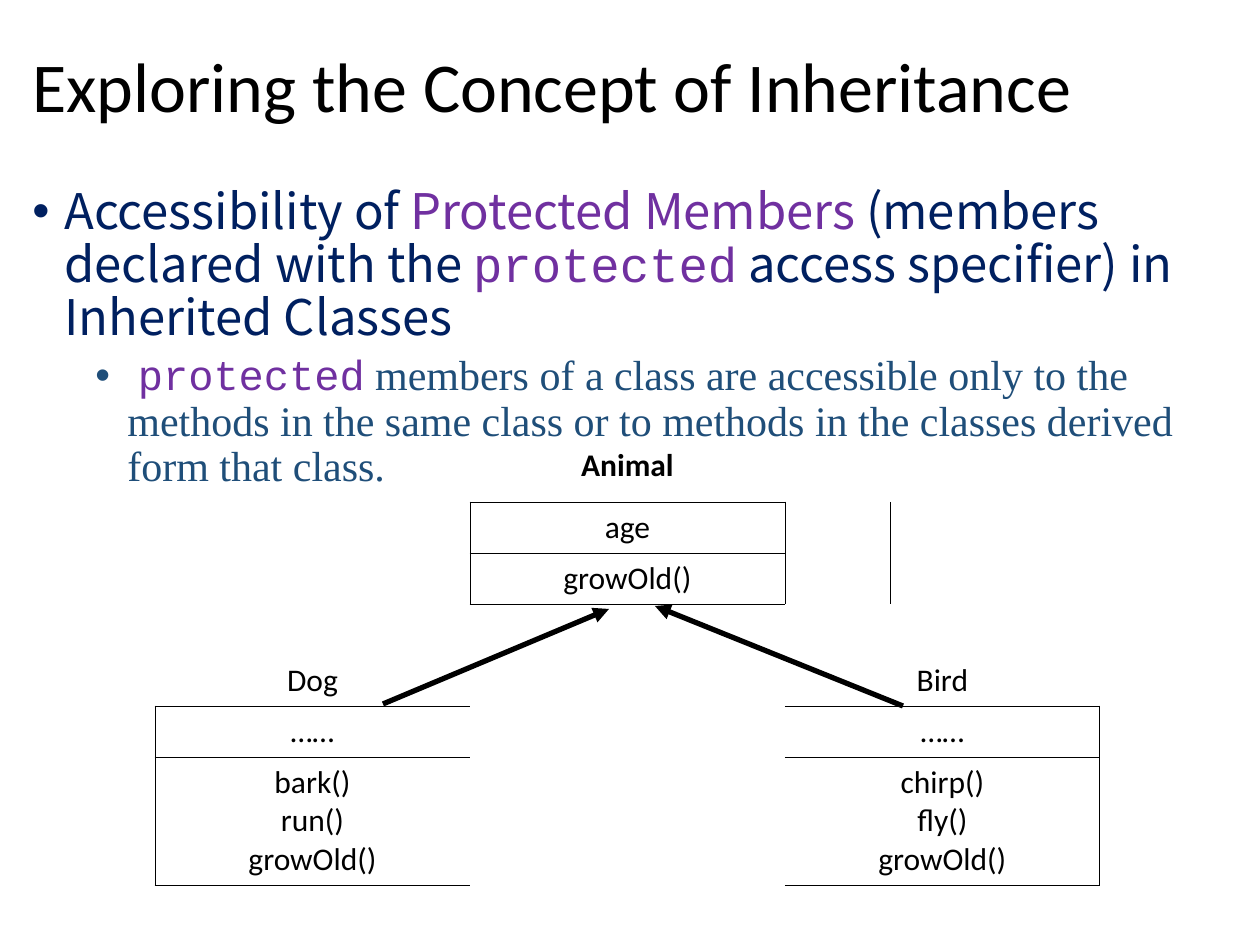
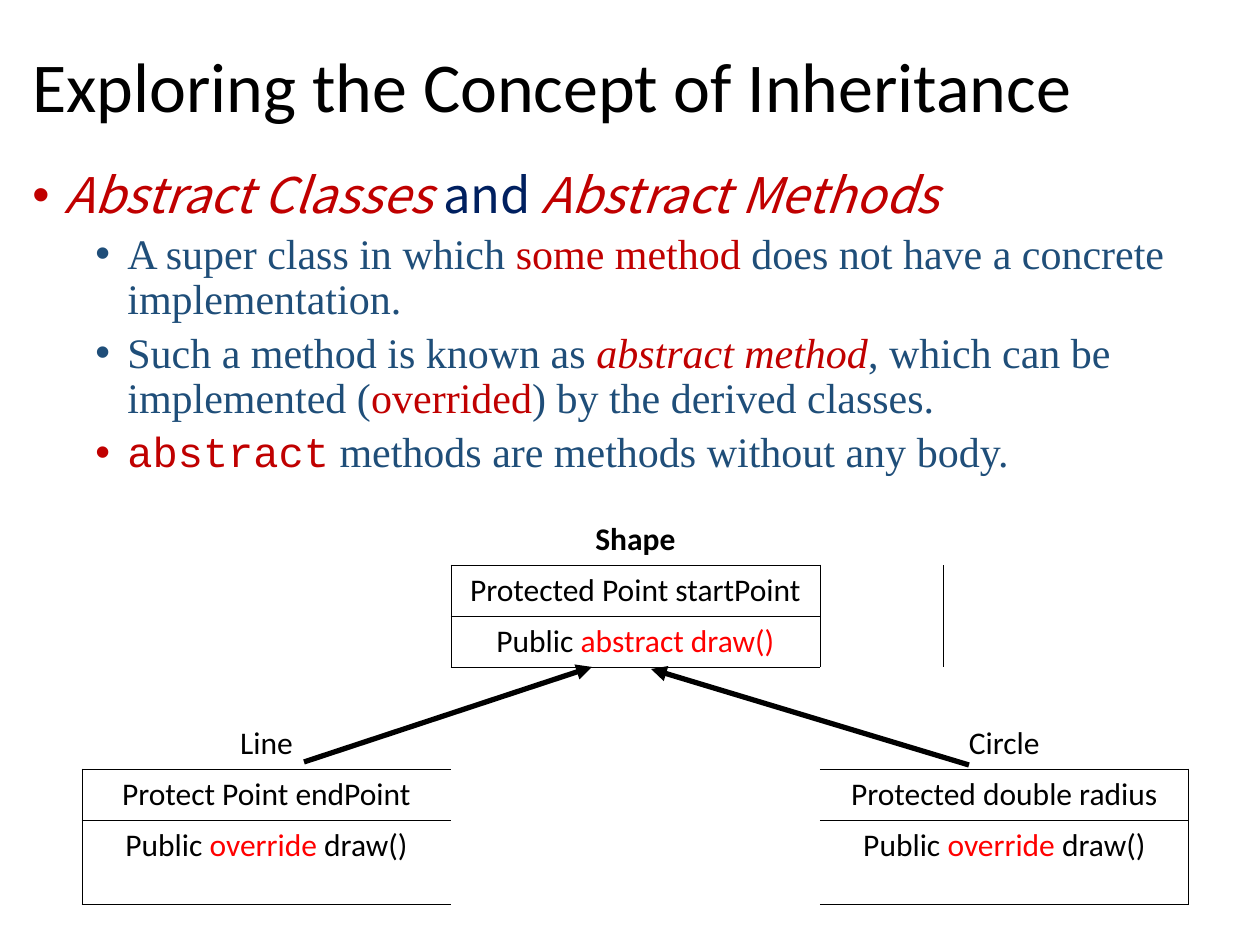
from lxml.etree import SubElement
from pptx import Presentation
from pptx.dml.color import RGBColor
from pptx.enum.shapes import MSO_CONNECTOR as Connector
from pptx.enum.text import MSO_ANCHOR as Anchor, PP_ALIGN as Align
from pptx.oxml.ns import qn
from pptx.util import Emu, Pt

PX = 914400 / 126
COLOURS = {"black": "000000", "navy": "002060", "steel": "1F4E79",
           "purple": "7030A0", "crimson": "C00000", "red": "FF0000"}
CALIBRI, SANS, SERIF, CODE = "Calibri", "Noto Sans CJK SC", "Times New Roman", "Courier New"
# Each bullet level: size, font, colour, left indent in px, space before
LEVELS = [(28, SANS, "navy", 32, 10), (24, SERIF, "steel", 95, 5)]
HANGING = 32
NO_GRID_STYLE = "{2D5ABB26-0587-4C30-8999-92F81FD0307C}"
TITLE = "Exploring the Concept of Inheritance"


def px(length):
    return Emu(round(length * PX))


def rgb(colour):
    return RGBColor.from_string(COLOURS[colour])


def add_colour(parent, tag, colour):
    SubElement(SubElement(parent, qn(tag)), qn("a:srgbClr"), val=COLOURS[colour])


class Deck:
    """Holds the shared style and the current slide."""

    def __init__(self):
        self.presentation = Presentation()
        self.presentation.slide_width = px(1260)
        self.presentation.slide_height = px(945)

    def new_slide(self):
        layout = self.presentation.slide_layouts[6]
        self.slide = self.presentation.slides.add_slide(layout)
        self.title(TITLE)

    def set_font(self, font, size, name, colour, bold=False):
        font.size, font.name, font.bold = Pt(size), name, bold
        font.color.rgb = rgb(colour)

    def text_box(self, left, top, width, height):
        box = self.slide.shapes.add_textbox(px(left), px(top), px(width), px(height))
        box.text_frame.word_wrap = True
        return box.text_frame

    def title(self, text):
        frame = self.text_box(20, 14, 1227, 151)
        frame.vertical_anchor = Anchor.MIDDLE
        paragraph = frame.paragraphs[0]
        paragraph.text = text
        paragraph.line_spacing = 0.9
        self.set_font(paragraph.font, 40, CALIBRI, "black")

    def bullets(self, top, items):
        """Each item is (level, runs); a run is (text, colour, font, italic)."""
        frame = self.text_box(20, top, 1227, 745)
        for index, (level, runs) in enumerate(items):
            size, name, base_colour, indent, space = LEVELS[level]
            paragraph = frame.add_paragraph() if index else frame.paragraphs[0]
            paragraph.level = level
            paragraph.line_spacing = 0.9
            if index:
                paragraph.space_before = Pt(space)
            self.bullet(paragraph, indent, runs[0][1] or base_colour)
            paragraph.font.size = Pt(size)
            for text, colour, font_name, italic in runs:
                run = paragraph.add_run()
                run.text = text
                run.font.name = font_name or name
                run.font.italic = italic
                run.font.color.rgb = rgb(colour or base_colour)

    def bullet(self, paragraph, indent, colour):
        properties = paragraph._p.get_or_add_pPr()
        properties.set("marL", str(px(indent)))
        properties.set("indent", str(-px(HANGING)))
        add_colour(properties, "a:buClr", colour)
        SubElement(properties, qn("a:buFont"), typeface="Arial")
        SubElement(properties, qn("a:buChar"), char="•")

    def fill_cell(self, cell, lines, bold):
        """A line is plain text or a list of (text, colour) runs."""
        for index, line in enumerate(lines):
            paragraph = cell.text_frame.add_paragraph() if index else cell.text_frame.paragraphs[0]
            paragraph.alignment = Align.CENTER
            if isinstance(line, str):
                paragraph.text = line
                self.set_font(paragraph.font, 18, CALIBRI, "black", bold)
                continue
            paragraph.font.size, paragraph.font.name = Pt(18), CALIBRI
            for text, colour in line:
                run = paragraph.add_run()
                run.text = text
                run.font.color.rgb = rgb(colour)

    def border(self, cell, sides):
        properties = cell._tc.get_or_add_tcPr()
        for side in "LRTB":
            if side in sides:
                line = SubElement(properties, qn(f"a:ln{side}"), w=str(Pt(0.45)))
                add_colour(line, "a:solidFill", "black")

    def class_diagram(self, left, top, unit, heights, parent, children):
        """Parent class in the middle column, one child class on each side."""
        widths = [unit] * 3 + [3 * unit] + [unit] * 3
        frame = self.slide.shapes.add_table(len(heights), len(widths), px(left), px(top),
                                            px(sum(widths)), px(sum(heights)))
        table = frame.table
        table.first_row = table.horz_banding = False
        table._tbl.tblPr.find(qn("a:tableStyleId")).text = NO_GRID_STYLE
        for column, width in zip(table.columns, widths):
            column.width = px(width)
        for row, height in zip(table.rows, heights):
            row.height = px(height)

        # Parent name, fields and methods, then the gap below
        for row, lines in enumerate(parent):
            cell = table.cell(row, 3)
            self.fill_cell(cell, lines, bold=row == 0)
            self.border(cell, "LRTB" if row else "B")
            if row:
                self.border(table.cell(row, 2), "R")
                self.border(table.cell(row, 4), "L")
        self.border(table.cell(3, 3), "T")
        table.cell(3, 3).merge(table.cell(6, 3))

        # Children, open on the side facing the middle
        for first, outer, sections in zip((0, 4), "LR", children):
            for row, lines in enumerate(sections, start=4):
                for column in range(first, first + 3):
                    self.border(table.cell(row, column), outer + "TB" if row > 4 else "B")
                table.cell(row, first).merge(table.cell(row, first + 2))
                self.fill_cell(table.cell(row, first), lines, bold=False)

        for cell in table.iter_cells():
            cell.fill.background()

    def arrow(self, *ends):
        connector = self.slide.shapes.add_connector(Connector.STRAIGHT, *map(px, ends))
        connector.line.width = Pt(3)
        connector.line.color.rgb = rgb("black")
        SubElement(connector.line._get_or_add_ln(), qn("a:tailEnd"), type="triangle")
        SubElement(connector._element.spPr, qn("a:effectLst"))


def run(text, colour=None, font=None, italic=False):
    return text, colour, font, italic


def protected_members(deck):
    deck.new_slide()
    deck.bullets(181, [
        (0, [run("Accessibility of "), run("Protected Members ", "purple"),
             run("(members declared with the "), run("protected", "purple", CODE),
             run(" access specifier) in Inherited Classes")]),
        (1, [run(" "), run("protected", "purple", CODE),
             run(" members of a class are accessible only to the methods in the same class "
                 "or to methods in the classes derived form that class.")]),
    ])
    deck.class_diagram(
        155, 440, 105, [62] + [51] * 5 + [128],
        parent=[["Animal"], ["age"], ["growOld()"]],
        children=[[["Dog"], ["……"], ["bark()", "run()", "growOld()"]],
                  [["Bird"], ["……"], ["chirp()", "fly()", "growOld()"]]])
    deck.arrow(383, 704, 609, 609)
    deck.arrow(903, 706, 655, 606)


def abstract_classes(deck):
    deck.new_slide()
    deck.bullets(165, [
        (0, [run("Abstract Classes ", "crimson", italic=True), run("and "),
             run("Abstract Methods", "crimson", italic=True)]),
        (1, [run("A super class in which "), run("some method ", "crimson"),
             run("does not have a concrete implementation.")]),
        (1, [run("Such a method is known as "), run("abstract method", "crimson", italic=True),
             run(", which can be implemented ("), run("overrided", "crimson"),
             run(") by the derived classes.")]),
        (1, [run("abstract", "crimson", CODE), run(" methods are methods without any body.")]),
    ])
    override_draw = [("Public ", "black"), ("override ", "red"), ("draw()", "black")]
    deck.class_diagram(
        82, 514, 123, [51] * 6 + [84],
        parent=[["Shape"], ["Protected Point startPoint"],
                [[("Public ", "black"), ("abstract draw()", "red")]]],
        children=[[["Line"], ["Protect Point endPoint"], [override_draw]],
                  [["Circle"], ["Protected double radius"], [override_draw]]])
    deck.arrow(304, 762, 592, 667)
    deck.arrow(969, 765, 651, 669)


def main():
    deck = Deck()
    protected_members(deck)
    abstract_classes(deck)
    deck.presentation.save("out.pptx")


if __name__ == "__main__":
    main()
